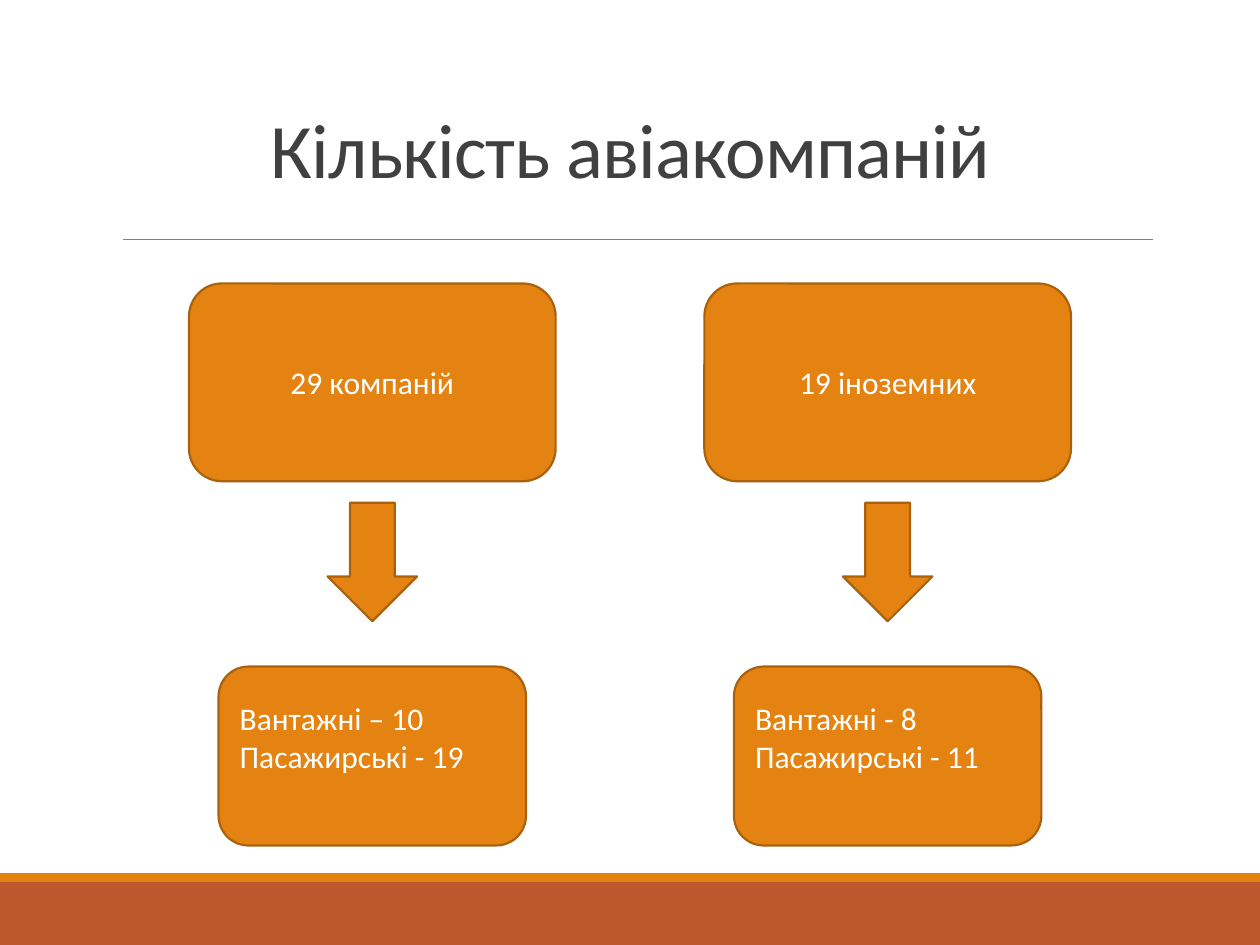
from dataclasses import dataclass

from lxml import etree
from pptx import Presentation
from pptx.dml.color import RGBColor
from pptx.enum.shapes import MSO_CONNECTOR, MSO_SHAPE
from pptx.enum.text import MSO_ANCHOR, PP_ALIGN
from pptx.oxml.ns import qn
from pptx.util import Inches, Pt


@dataclass(frozen=True)
class Theme:
    font: str = "Calibri"
    title_size: float = 44
    body_size: float = 18
    outline_width: float = 1.25
    rule_width: float = 0.5
    title: RGBColor = RGBColor.from_string("404040")
    text: RGBColor = RGBColor.from_string("FFFFFF")
    orange: RGBColor = RGBColor.from_string("E48312")
    outline: RGBColor = RGBColor.from_string("A9610D")
    rust: RGBColor = RGBColor.from_string("BD582C")
    rule: RGBColor = RGBColor.from_string("808080")


THEME = Theme()


def add_block(slide, kind, left, top, width, height, fill, outline=None):
    shape = slide.shapes.add_shape(
        kind, Inches(left), Inches(top), Inches(width), Inches(height)
    )
    shape.shadow.inherit = False
    shape.fill.solid()
    shape.fill.fore_color.rgb = fill
    if outline is None:
        shape.line.fill.background()
    else:
        shape.line.color.rgb = outline
        shape.line.width = Pt(THEME.outline_width)
    return shape


def add_run(paragraph, text, size, color):
    run = paragraph.add_run()
    run.text = text
    run.font.name = THEME.font
    run.font.size = Pt(size)
    run.font.color.rgb = color
    return run


def write_lines(shape, lines, alignment):
    frame = shape.text_frame
    frame.word_wrap = True
    frame.vertical_anchor = MSO_ANCHOR.MIDDLE
    for index, line in enumerate(lines):
        paragraph = frame.add_paragraph() if index else frame.paragraphs[0]
        paragraph.alignment = alignment
        add_run(paragraph, line, THEME.body_size, THEME.text)


def add_footer(slide, left, top, width, height):
    stripe = 0.07
    for y, depth, fill in (
        (top + stripe, height - stripe, THEME.rust),
        (top, stripe, THEME.orange),
    ):
        add_block(slide, MSO_SHAPE.RECTANGLE, left, y, width, depth, fill)


def add_title(slide, left, top, width, height, text):
    box = slide.shapes.add_textbox(
        Inches(left), Inches(top), Inches(width), Inches(height)
    )
    frame = box.text_frame
    frame.word_wrap = True
    frame.vertical_anchor = MSO_ANCHOR.BOTTOM
    paragraph = frame.paragraphs[0]
    paragraph.alignment = PP_ALIGN.CENTER
    paragraph.line_spacing = 0.85
    run = add_run(paragraph, text, THEME.title_size, THEME.title)
    run.font._element.set("spc", "-50")


def add_rule(slide, left, top, width):
    rule = slide.shapes.add_connector(
        MSO_CONNECTOR.STRAIGHT,
        Inches(left), Inches(top), Inches(left + width), Inches(top),
    )
    rule.line.color.rgb = THEME.rule
    rule.line.width = Pt(THEME.rule_width)
    etree.SubElement(rule._element.spPr, qn("a:effectLst"))


def add_column(slide, left, top, width, height, total, details):
    center = left + width / 2
    arrow_width, detail_width, detail_height = 0.71, 2.44, 1.42
    style = (THEME.orange, THEME.outline)

    total_box = add_block(
        slide, MSO_SHAPE.ROUNDED_RECTANGLE, left, top, width, 1.57, *style
    )
    write_lines(total_box, [total], PP_ALIGN.CENTER)

    add_block(
        slide, MSO_SHAPE.DOWN_ARROW,
        center - arrow_width / 2, top + 1.74, arrow_width, 0.94, *style,
    )

    detail_box = add_block(
        slide, MSO_SHAPE.ROUNDED_RECTANGLE,
        center - detail_width / 2, top + height - detail_height,
        detail_width, detail_height, *style,
    )
    write_lines(detail_box, details, PP_ALIGN.LEFT)
    detail_box.text_frame.margin_bottom = Inches(0.35)


def main():
    presentation = Presentation()
    presentation.slide_width = Inches(10)
    presentation.slide_height = Inches(7.5)
    slide = presentation.slides.add_slide(presentation.slide_layouts[6])

    add_footer(slide, 0, 6.93, 10, 0.57)
    add_rule(slide, 0.98, 1.9, 8.17)
    add_title(slide, 0.88, 0.76, 8.25, 0.83, "Кількість авіакомпаній")

    columns = (
        ("29 компаній", ["Вантажні – 10", "Пасажирські - 19"]),
        ("19 іноземних", ["Вантажні - 8", "Пасажирські - 11"]),
    )
    for index, (total, details) in enumerate(columns):
        add_column(slide, 1.5 + index * 4.09, 2.25, 2.91, 4.46, total, details)

    presentation.save("out.pptx")


if __name__ == "__main__":
    main()
